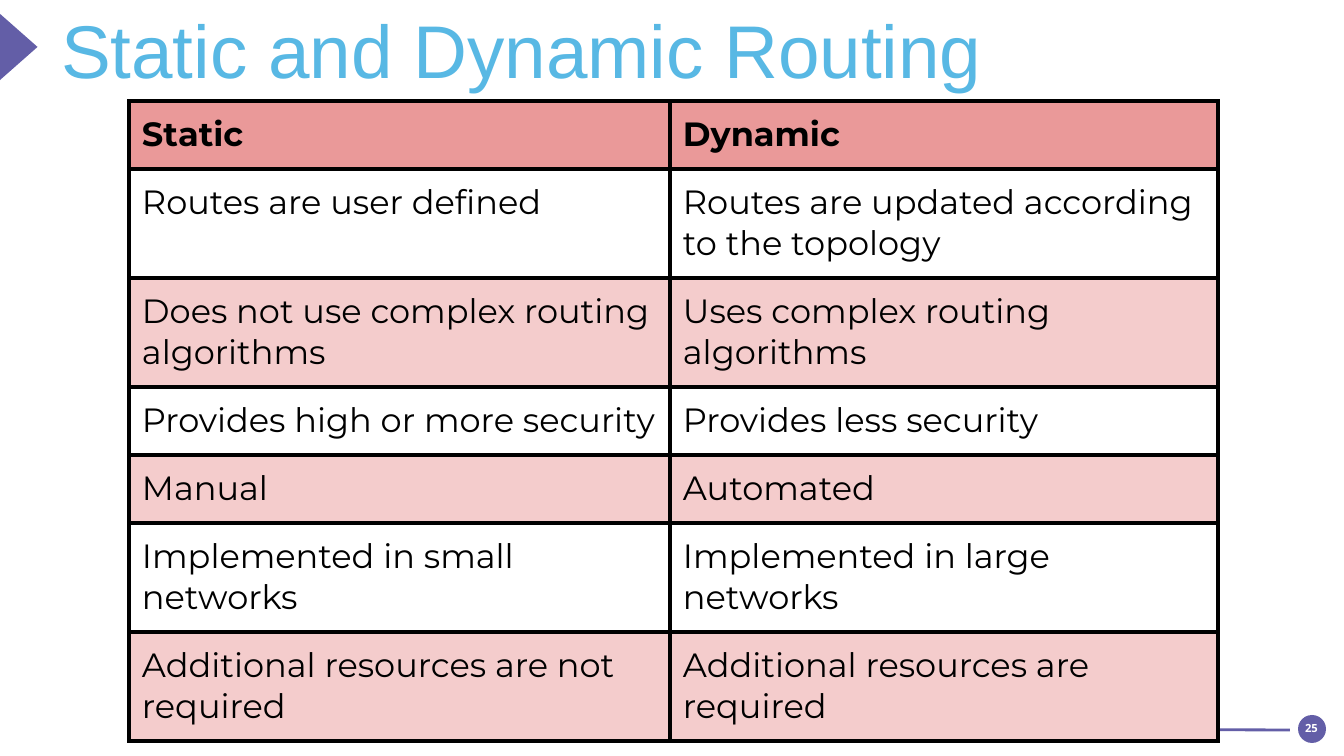
"""Builds the slide that compares static and dynamic routing."""
from dataclasses import dataclass

import lxml.etree
import pptx
import pptx.dml.color
import pptx.enum.shapes
import pptx.enum.text
import pptx.oxml
import pptx.oxml.ns
import pptx.util


@dataclass(frozen=True)
class Theme:
    accent: str = "635EA7"
    title: str = "58B8E4"
    ink: str = "000000"
    paper: str = "FFFFFF"
    header: str = "EA9999"
    band: str = "F4CCCC"
    title_pt: int = 40
    cell_pt: int = 18
    number_pt: int = 6
    rule_pt: float = 1.5
    border_pt: float = 2.25


theme = Theme()
qn = pptx.oxml.ns.qn
rgb = pptx.dml.color.RGBColor.from_string
shapes = pptx.enum.shapes.MSO_SHAPE
anchors = pptx.enum.text.MSO_ANCHOR


def px(*values):
    return [pptx.util.Emu(round(v * 914400 / 134.4)) for v in values]


def add_run(tf, text, font, size, color, bold=False):
    r = tf.paragraphs[0].add_run()
    r.text = text
    r.font.name = font
    r.font.size = pptx.util.Pt(size)
    r.font.color.rgb = rgb(color)
    r.font.bold = bold


prs = pptx.Presentation()
prs.slide_width, prs.slide_height = px(1344, 756)
s = prs.slides.add_slide(prs.slide_layouts[5])
s.background.fill.solid()
s.background.fill.fore_color.rgb = rgb(theme.paper)

title = s.shapes.title
title.left, title.top, title.width, title.height = px(61, 0, 1208, 93)
tf = title.text_frame
tf.margin_left = tf.margin_top = tf.margin_right = tf.margin_bottom = 0
tf.vertical_anchor = anchors.BOTTOM
tf.word_wrap = True
tf.auto_size = pptx.enum.text.MSO_AUTO_SIZE.NONE
tf.paragraphs[0].alignment = pptx.enum.text.PP_ALIGN.LEFT
add_run(tf, "Static and Dynamic Routing", "Arial", theme.title_pt, theme.title)

for kind, box, turn in (
    (shapes.OVAL, (1298, 715, 28, 28), 0),
    (shapes.ISOSCELES_TRIANGLE, (-15, 28, 67, 38), 90),
):
    sp = s.shapes.add_shape(kind, *px(*box))
    sp.rotation = turn
    sp.shadow.inherit = False
    sp.fill.solid()
    sp.fill.fore_color.rgb = rgb(theme.accent)
    sp.line.fill.background()

number = s.shapes.add_textbox(*px(1300, 722, 23, 13))
tf = number.text_frame
tf.margin_left = tf.margin_top = tf.margin_right = tf.margin_bottom = 0
tf.vertical_anchor = anchors.MIDDLE
tf.word_wrap = True
tf.paragraphs[0].alignment = pptx.enum.text.PP_ALIGN.CENTER
add_run(tf, "25", "Open Sans", theme.number_pt, theme.paper, True)

rule = s.shapes.add_connector(
    pptx.enum.shapes.MSO_CONNECTOR.STRAIGHT, *px(1290, 730, 169, 727)
)
rule.line.color.rgb = rgb(theme.accent)
rule.line.width = pptx.util.Pt(theme.rule_pt)
lxml.etree.SubElement(rule._element.spPr, qn("a:effectLst"))

rows = [
    ("Static", "Dynamic"),
    ("Routes are user defined", "Routes are updated according to the topology"),
    ("Does not use complex routing algorithms", "Uses complex routing algorithms"),
    ("Provides high or more security", "Provides less security"),
    ("Manual", "Automated"),
    ("Implemented in small networks", "Implemented in large networks"),
    ("Additional resources are not required", "Additional resources are required"),
]
heights = px(68, 109, 109, 68, 68, 109, 109)
widths = px(541, 548)
left, top, inset = px(129, 101, 13)
table = s.shapes.add_table(
    len(rows), len(widths), left, top, sum(widths), sum(heights)
).table
table.first_row = table.horz_banding = False
for col, width in zip(table.columns, widths):
    col.width = width

for i, (row, texts) in enumerate(zip(table.rows, rows)):
    row.height = heights[i]
    for cell, text in zip(row.cells, texts):
        cell.margin_left = cell.margin_right = inset
        cell.margin_top = cell.margin_bottom = inset
        add_run(cell.text_frame, text, "Montserrat", theme.cell_pt, theme.ink, i == 0)
        tcPr = cell._tc.get_or_add_tcPr()
        for side in ("a:lnL", "a:lnR", "a:lnT", "a:lnB"):
            ln = lxml.etree.SubElement(
                tcPr, qn(side), w=str(pptx.util.Pt(theme.border_pt))
            )
            fill = lxml.etree.SubElement(ln, qn("a:solidFill"))
            lxml.etree.SubElement(fill, qn("a:srgbClr"), val=theme.ink)
        if i % 2:
            cell.fill.background()
        else:
            cell.fill.solid()
            cell.fill.fore_color.rgb = rgb(theme.band if i else theme.header)

prs.save("out.pptx")
